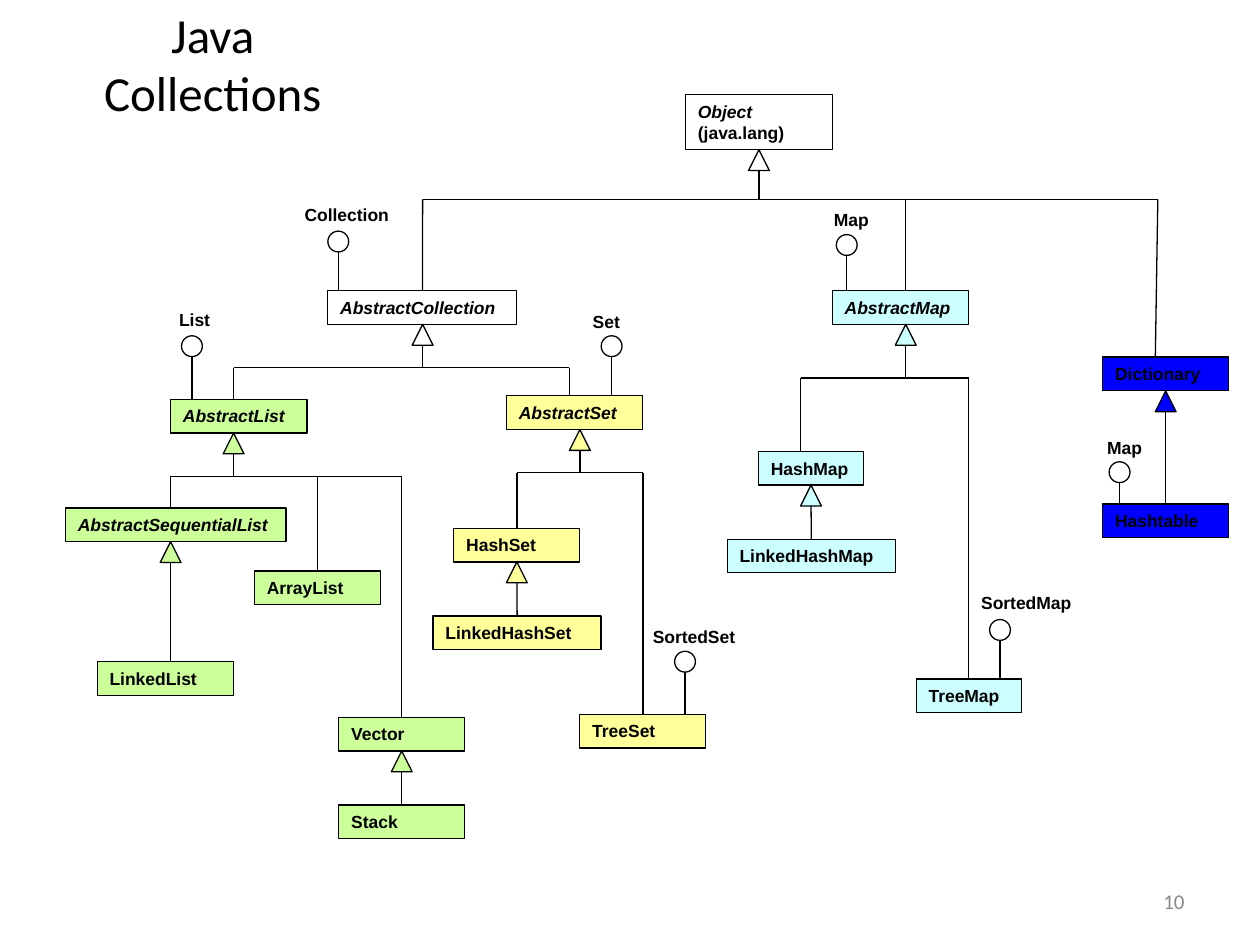
import pptx
import pptx.dml.color
import pptx.enum.shapes
import pptx.enum.text
import pptx.util
from lxml import etree

Cm, Pt = pptx.util.Cm, pptx.util.Pt
RGB = pptx.dml.color.RGBColor
SHAPE = pptx.enum.shapes.MSO_SHAPE
ALIGN = pptx.enum.text.PP_ALIGN
ANCHOR = pptx.enum.text.MSO_ANCHOR
AUTO_SIZE = pptx.enum.text.MSO_AUTO_SIZE

BLACK = RGB(0x00, 0x00, 0x00)
WHITE = RGB(0xFF, 0xFF, 0xFF)
GREY = RGB(0x89, 0x89, 0x89)
GREEN = RGB(0xCC, 0xFF, 0x99)
YELLOW = RGB(0xFF, 0xFF, 0x99)
CYAN = RGB(0xCC, 0xFF, 0xFF)
BLUE = RGB(0x00, 0x00, 0xFF)

# All lengths are in centimetres
LINE_H = 0.68   # height of a one-line box
OBJECT_H = 1.11  # height of the two-line box
MARK = 0.42     # size of triangles and circles

# Class: left, top, width, fill (abstract classes and Object are italic)
CLASSES = {
    "Object": (13.82, 1.91, 2.96, WHITE),
    "AbstractCollection": (6.61, 5.86, 3.81, WHITE),
    "AbstractMap": (16.78, 5.86, 2.75, CYAN),
    "Dictionary": (22.23, 7.2, 2.54, BLUE),
    "AbstractList": (3.44, 8.05, 2.75, GREEN),
    "AbstractSet": (10.21, 7.98, 2.75, YELLOW),
    "AbstractSequentialList": (1.32, 10.24, 4.45, GREEN),
    "ArrayList": (5.13, 11.51, 2.54, GREEN),
    "LinkedList": (1.96, 13.34, 2.75, GREEN),
    "Vector": (6.83, 14.46, 2.54, GREEN),
    "Stack": (6.83, 16.23, 2.54, GREEN),
    "HashSet": (9.15, 10.65, 2.54, YELLOW),
    "LinkedHashSet": (8.73, 12.42, 3.39, YELLOW),
    "TreeSet": (11.69, 14.4, 2.54, YELLOW),
    "HashMap": (15.29, 9.1, 2.12, CYAN),
    "LinkedHashMap": (14.66, 10.87, 3.39, CYAN),
    "TreeMap": (18.47, 13.69, 2.12, CYAN),
    "Hashtable": (22.23, 10.16, 2.54, BLUE),
}

# Parent, arrow x, rail y, children as (name, x at rail, x at child if it differs)
BRANCHES = [
    ("Object", 15.3, 4.02, [("AbstractCollection", 8.52), ("AbstractMap", 18.26),
                            ("Dictionary", 23.34, 23.29)]),
    ("AbstractCollection", 8.52, 7.41, [("AbstractList", 4.71), ("AbstractSet", 11.48)]),
    ("AbstractList", 4.71, 9.6, [("AbstractSequentialList", 3.44), ("ArrayList", 6.4),
                                 ("Vector", 8.1)]),
    ("AbstractSet", 11.69, 9.53, [("HashSet", 10.42), ("TreeSet", 12.96)]),
    ("AbstractMap", 18.26, 7.62, [("HashMap", 16.14), ("TreeMap", 19.53)]),
]

# Parent, arrow x, only child
CHAINS = [
    ("AbstractSequentialList", 3.44, "LinkedList"),
    ("Vector", 8.1, "Stack"),
    ("HashSet", 10.42, "LinkedHashSet"),
    ("HashMap", 16.35, "LinkedHashMap"),
    ("Dictionary", 23.5, "Hashtable"),
]

# Interface, label left, label top, label width, circle centre x, circle top, class
INTERFACES = [
    ("Collection", 5.89, 3.99, 2.25, 6.82, 4.66, "AbstractCollection"),
    ("List", 3.36, 6.1, 1.18, 3.87, 6.77, "AbstractList"),
    ("Set", 11.7, 6.15, 1.1, 12.33, 6.77, "AbstractSet"),
    ("SortedSet", 12.91, 12.5, 2.22, 13.81, 13.13, "TreeSet"),
    ("Map", 16.56, 4.09, 1.26, 17.07, 4.73, "AbstractMap"),
    ("SortedMap", 19.53, 11.81, 2.38, 20.16, 12.49, "TreeMap"),
    ("Map", 22.07, 8.69, 1.26, 22.57, 9.31, "Hashtable"),
]

prs = pptx.Presentation()
prs.slide_width, prs.slide_height = Cm(25.4), Cm(19.05)
slide = prs.slides.add_slide(prs.slide_layouts[6])
boxes = {}


def add_shape(kind, x, y, w, h, fill=None):
    sp = slide.shapes.add_shape(kind, Cm(x), Cm(y), Cm(w), Cm(h))
    sp.shadow.inherit = False
    if fill is None:
        sp.fill.background()
    else:
        sp.fill.solid()
        sp.fill.fore_color.rgb = fill
    sp.line.color.rgb = BLACK
    sp.line.width = Pt(0.75)
    return sp


def add_line(x1, y1, x2, y2):
    c = slide.shapes.add_connector(pptx.enum.shapes.MSO_CONNECTOR.STRAIGHT,
                                   Cm(x1), Cm(y1), Cm(x2), Cm(y2))
    c.line.color.rgb = BLACK
    c.line.width = Pt(0.75)
    etree.SubElement(c._element.spPr, pptx.oxml.ns.qn("a:effectLst"))
    return c


def add_drop(x1, y1, child, x2):
    """Line down to a class, joined to it where it meets the middle of its top."""
    left, top, width, _ = CLASSES[child]
    c = add_line(x1, y1, x2, top)
    if abs(left + width / 2 - x2) < 0.05:
        c.end_connect(boxes[child], 0)


def add_arrow(parent, x):
    """Inheritance arrowhead under a class; returns the y of its base."""
    _, top, _, fill = CLASSES[parent]
    y = top + boxes[parent].height.cm
    add_shape(SHAPE.ISOSCELES_TRIANGLE, x - MARK / 2, y, MARK, MARK, fill)
    return y + MARK


def set_text(sp, lines, size=10, font="Arial", color=BLACK, bold=True,
             align=ALIGN.LEFT, anchor=ANCHOR.TOP, wrap=True):
    """Lines are (text, italic) pairs, one paragraph each."""
    tf = sp.text_frame
    tf.word_wrap = wrap
    tf.vertical_anchor = anchor
    for i, (text, italic) in enumerate(lines):
        p = tf.add_paragraph() if i else tf.paragraphs[0]
        p.text = text
        p.alignment = align
        p.font.name, p.font.size = font, Pt(size)
        p.font.bold, p.font.italic = bold, italic
        p.font.color.rgb = color


def add_text(x, y, w, h, text, **style):
    sp = slide.shapes.add_textbox(Cm(x), Cm(y), Cm(w), Cm(h))
    set_text(sp, [(text, False)], **style)
    return sp


# Title and slide number
add_text(0.69, 0, 7.2, 2.54, "Java\vCollections", size=28, font="Calibri",
         bold=False, align=ALIGN.CENTER, anchor=ANCHOR.MIDDLE)
add_text(18.2, 17.66, 5.93, 1.01, "10", size=12, font="Calibri", color=GREY,
         bold=False, align=ALIGN.RIGHT, anchor=ANCHOR.MIDDLE)

# Class boxes
for name, (x, y, w, fill) in CLASSES.items():
    lines = [(name, name == "Object" or name.startswith("Abstract"))]
    if name == "Object":
        lines.append(("(java.lang)", False))
    height = LINE_H if len(lines) == 1 else OBJECT_H
    boxes[name] = add_shape(SHAPE.RECTANGLE, x, y, w, height, fill)
    set_text(boxes[name], lines)
    boxes[name].text_frame.auto_size = AUTO_SIZE.SHAPE_TO_FIT_TEXT

# Inheritance with several children: arrow, rail and drops
for parent, x, rail, children in BRANCHES:
    add_line(x, add_arrow(parent, x), x, rail)
    add_line(children[0][1], rail, children[-1][1], rail)
    for child, *xs in children:
        add_drop(xs[0], rail, child, xs[-1])

# Inheritance with one child
for parent, x, child in CHAINS:
    add_drop(x, add_arrow(parent, x), child, x)

# Interfaces: label, circle and stick
for name, x, y, w, cx, cy, owner in INTERFACES:
    label = add_text(x, y, w, LINE_H, name, wrap=False)
    label.text_frame.auto_size = AUTO_SIZE.SHAPE_TO_FIT_TEXT
    add_shape(SHAPE.OVAL, cx - MARK / 2, cy, MARK, MARK)
    add_drop(cx, cy + MARK, owner, cx)

prs.save("out.pptx")
